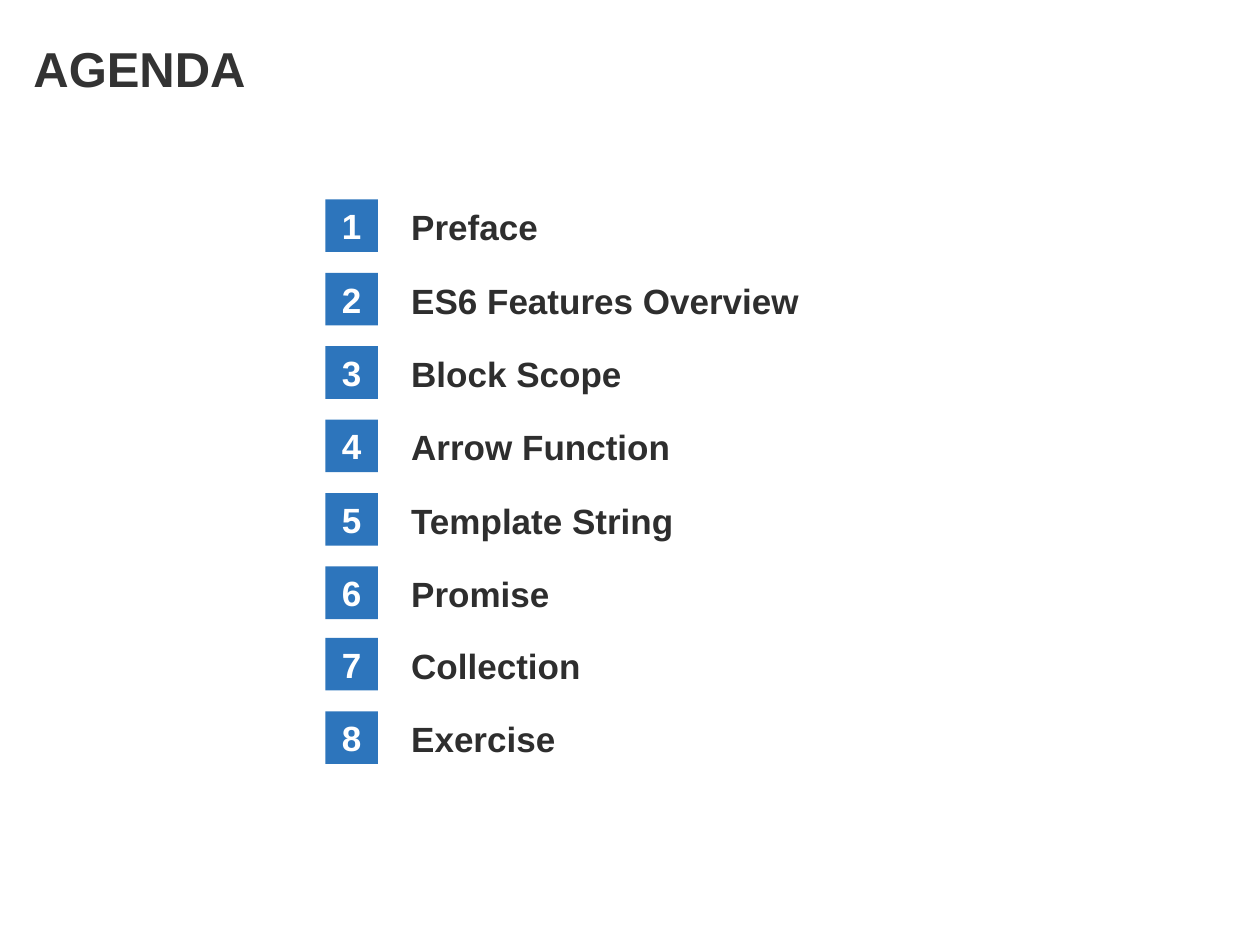
from pptx import Presentation
from pptx.dml.color import RGBColor
from pptx.enum.shapes import MSO_SHAPE
from pptx.enum.text import MSO_ANCHOR, MSO_AUTO_SIZE, PP_ALIGN
from pptx.util import Cm, Pt

BADGE = MSO_SHAPE.ROUNDED_RECTANGLE
TOP, MIDDLE = MSO_ANCHOR.TOP, MSO_ANCHOR.MIDDLE
LEFT, CENTER = PP_ALIGN.LEFT, PP_ALIGN.CENTER
FIT_SHAPE, NO_FIT = MSO_AUTO_SIZE.SHAPE_TO_FIT_TEXT, MSO_AUTO_SIZE.NONE

# Content
TITLE = "AGENDA"
TOPICS = [
    "Preface",
    "ES6 Features Overview",
    "Block Scope",
    "Arrow Function",
    "Template String",
    "Promise",
    "Collection",
    "Exercise",
]

# Layout in cm; the last two rows sit slightly higher
FIRST_TOP, PITCH = 4.02, 1.48
RAISED_FROM, RAISE = 7, 0.04
BADGE_LEFT, BADGE_SIZE = 6.56, 1.06
TOPIC_LEFT, TOPIC_WIDTH, TOPIC_HEIGHT = 8.04, 16.72, 1.11


def rgb(color):
    return RGBColor.from_string(color)


def set_text(sp, text, size, color, align=LEFT, anchor=TOP, fit=NO_FIT):
    tf = sp.text_frame
    tf.text = text
    tf.word_wrap = True
    tf.auto_size = fit
    tf.vertical_anchor = anchor
    p = tf.paragraphs[0]
    p.alignment = align
    p.font.name = "Arial"
    p.font.size = Pt(size)
    p.font.bold = True
    p.font.color.rgb = rgb(color)


prs = Presentation()
prs.slide_width, prs.slide_height = Cm(25.4), Cm(19.05)
s = prs.slides.add_slide(prs.slide_layouts[5])

# Title
title = s.shapes.title
title.left, title.top = Cm(0.42), Cm(0.64)
title.width, title.height = Cm(22.23), Cm(1.45)
set_text(title, TITLE, 28, "333333", fit=FIT_SHAPE)

# Numbered topics
for number, topic in enumerate(TOPICS, start=1):
    top = FIRST_TOP + (number - 1) * PITCH
    if number >= RAISED_FROM:
        top -= RAISE

    label = s.shapes.add_textbox(
        Cm(TOPIC_LEFT), Cm(top), Cm(TOPIC_WIDTH), Cm(TOPIC_HEIGHT))
    set_text(label, topic, 20, "2E2E2E", fit=FIT_SHAPE)

    badge = s.shapes.add_shape(
        BADGE, Cm(BADGE_LEFT), Cm(top), Cm(BADGE_SIZE), Cm(BADGE_SIZE))
    badge.adjustments[0] = 0
    badge.shadow.inherit = False
    badge.fill.solid()
    badge.fill.fore_color.rgb = rgb("2D75BC")
    badge.line.fill.background()
    set_text(badge, str(number), 20, "FFFFFF", CENTER, MIDDLE)

prs.save("out.pptx")
